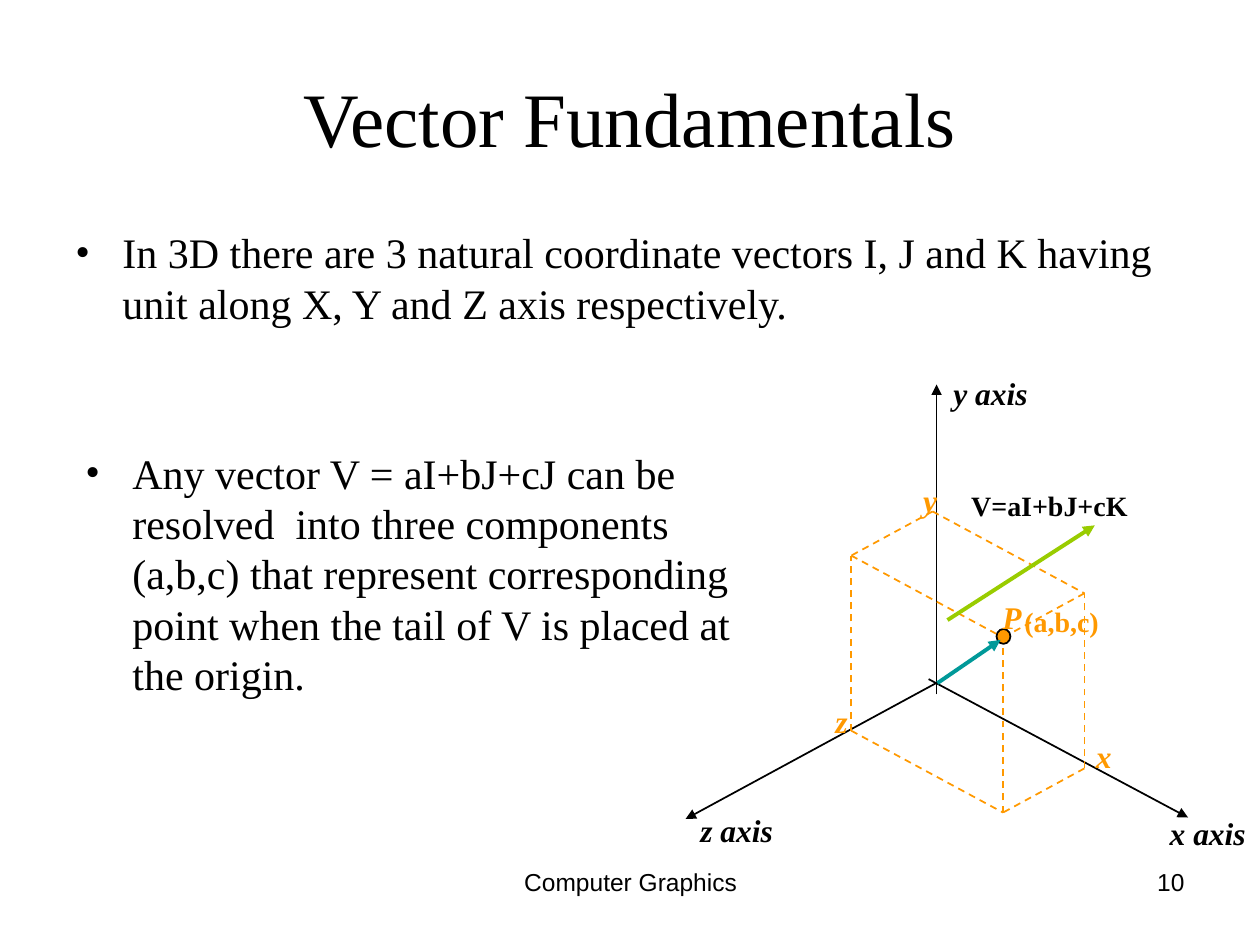
from lxml.etree import SubElement
from pptx import Presentation
from pptx.dml.color import RGBColor
from pptx.enum.dml import MSO_LINE
from pptx.enum.shapes import MSO_CONNECTOR, MSO_SHAPE
from pptx.enum.text import MSO_ANCHOR, MSO_AUTO_SIZE, PP_ALIGN
from pptx.oxml.ns import qn
from pptx.util import Cm, Pt

COLORS = {"ink": "000000", "box": "FF9900", "position": "009999", "vector": "99CC00"}
SERIF, SANS = "Times New Roman", "Arial"


class VectorSlide:
    def __init__(self, deck):
        self.slide = deck.slides.add_slide(deck.slide_layouts[6])
        self.shapes = self.slide.shapes

    def color(self, name):
        return RGBColor.from_string(COLORS[name])

    def text(self, words, area, color="ink", align=PP_ALIGN.LEFT, wrap=True,
             anchor=MSO_ANCHOR.TOP, bullet=False, **style):
        frame = self.shapes.add_textbox(*map(Cm, area)).text_frame
        frame.word_wrap = wrap
        frame.auto_size = MSO_AUTO_SIZE.NONE if wrap else MSO_AUTO_SIZE.SHAPE_TO_FIT_TEXT
        frame.vertical_anchor = anchor
        paragraph = frame.paragraphs[0]
        paragraph.text = words
        paragraph.alignment = align
        if bullet:
            self.bullet(paragraph)
        font = paragraph.runs[0].font
        for key, value in ({"name": SERIF, "size": Pt(24)} | style).items():
            setattr(font, key, value)
        font.color.rgb = self.color(color)

    def bullet(self, paragraph):
        properties = paragraph._p.get_or_add_pPr()
        properties.set("marL", str(Cm(0.95)))
        properties.set("indent", str(-Cm(0.95)))
        SubElement(properties, qn("a:buFont"), typeface=SERIF)
        SubElement(properties, qn("a:buChar"), char="•")

    def label(self, words, left, top, width, height=1.02, color="ink", **style):
        look = {"size": Pt(18), "bold": True, "italic": True} | style
        self.text(words, (left, top, width, height), color, wrap=False, **look)

    def line(self, start, end, color="ink", width=1, dashed=False):
        connector = self.shapes.add_connector(
            MSO_CONNECTOR.STRAIGHT, *map(Cm, (*start, *end)))
        connector.line.color.rgb = self.color(color)
        connector.line.width = Pt(width)
        if dashed:
            connector.line.dash_style = MSO_LINE.DASH
        else:
            SubElement(connector.line._get_or_add_ln(), qn("a:tailEnd"), type="triangle")
        SubElement(connector._element.spPr, qn("a:effectLst"))

    def dot(self, center, width, height):
        x, y = center
        point = self.shapes.add_shape(
            MSO_SHAPE.OVAL, *map(Cm, (x - width / 2, y - height / 2, width, height)))
        point.shadow.inherit = False
        point.fill.solid()
        point.fill.fore_color.rgb = self.color("box")
        point.line.color.rgb = self.color("ink")
        point.line.width = Pt(1)


def corner(x, y, z):
    """Project a corner of the unit box onto the slide, in cm."""
    return 18.8 + 3.06 * x - 1.64 * z, 13.84 + 1.65 * x - 3.53 * y + 0.89 * z


def main():
    deck = Presentation()
    deck.slide_width, deck.slide_height = Cm(25.4), Cm(19.05)
    page = VectorSlide(deck)

    # Title and explanations
    page.text("Vector Fundamentals", (1.27, 0.76, 22.86, 3.18), size=Pt(44),
              align=PP_ALIGN.CENTER, anchor=MSO_ANCHOR.MIDDLE)
    page.text("In 3D there are 3 natural coordinate vectors I, J and K having "
              "unit along X, Y and Z axis respectively.",
              (1.27, 4.45, 22.86, 2.34), bullet=True)
    page.text("Any vector V = aI+bJ+cJ can be resolved  into three components "
              "(a,b,c) that represent corresponding point when the tail of V is "
              "placed at the origin.",
              (1.47, 8.89, 14.4, 5.92), bullet=True)

    # Axes
    for start, end in [((18.88, 14), (18.88, 7.75)),
                       ((18.72, 13.69), (23.95, 16.48)),
                       ((19.02, 13.69), (13.82, 16.51))]:
        page.line(start, end)
    page.label("x axis", 23.33, 16.28, 2.07)
    page.label("y axis", 18.97, 7.42, 2.05)
    page.label("z axis", 13.87, 16.23, 2.05)

    # Box edges away from the axes
    for start, end in [((0, 0, 1), (1, 0, 1)), ((0, 0, 1), (0, 1, 1)),
                       ((0, 1, 0), (0, 1, 1)), ((0, 1, 1), (1, 1, 1)),
                       ((1, 0, 1), (1, 1, 1)), ((1, 1, 0), (1, 1, 1)),
                       ((0, 1, 0), (1, 1, 0)), ((1, 0, 0), (1, 1, 0)),
                       ((1, 0, 0), (1, 0, 1))]:
        page.line(corner(*start), corner(*end), "box", dashed=True)

    # Point P and its coordinates
    page.dot((20.23, 12.83), 0.28, 0.3)
    page.label("P", 19.96, 11.94, 0.89, color="box")
    page.label("y", 18.36, 9.58, 0.79, color="box")
    page.label("z", 16.59, 14.02, 0.74, color="box")
    page.label("x", 21.84, 14.73, 0.81, color="box")

    # Vectors
    page.line((18.9, 13.77), (20.17, 12.9), "position", 2.25)
    page.line((19.1, 12.5), (22.07, 10.59), "vector", 2.25)
    upright = {"size": Pt(16), "italic": False}
    page.label("V=aI+bJ+cK", 19.33, 9.73, 3.66, 0.94, **upright)
    page.label("(a,b,c)", 20.4, 12.07, 2.01, 0.94, color="box", **upright)

    # Footer
    footer = {"name": SANS, "size": Pt(14)}
    page.text("Computer Graphics", (8.69, 17.35, 8.05, 1.32),
              align=PP_ALIGN.CENTER, **footer)
    page.text("10", (18.21, 17.35, 5.92, 1.32), align=PP_ALIGN.RIGHT, **footer)

    deck.save("out.pptx")


if __name__ == "__main__":
    main()
